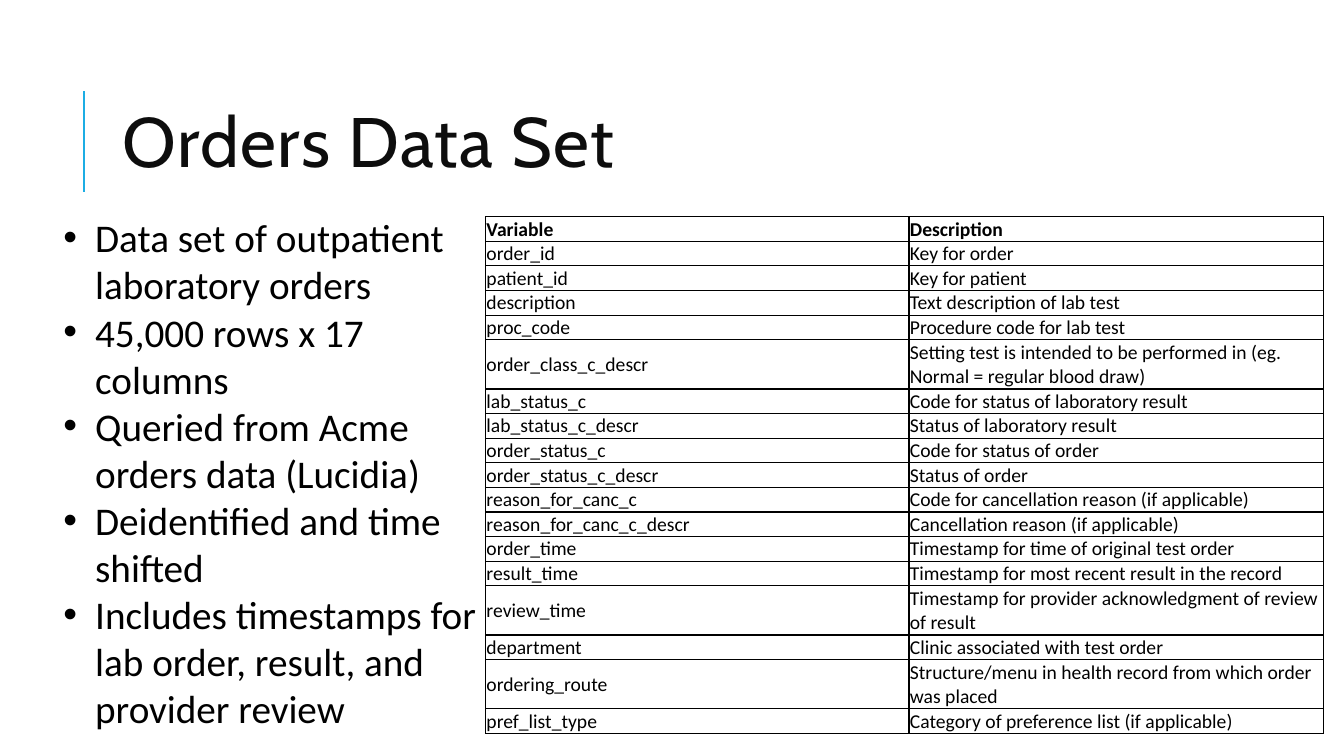
from lxml.etree import SubElement
from pptx import Presentation
from pptx.dml.color import RGBColor
from pptx.enum.shapes import MSO_CONNECTOR
from pptx.enum.text import MSO_ANCHOR, MSO_AUTO_SIZE
from pptx.oxml import parse_xml
from pptx.oxml.ns import nsdecls, qn
from pptx.util import Cm, Pt

BULLETS = [
    "Data set of outpatient laboratory orders",
    "45,000 rows x 17 columns",
    "Queried from Acme orders data (Lucidia)",
    "Deidentified and time shifted",
    "Includes timestamps for lab order, result, and provider review",
]

VARIABLES = [
    ("Variable", "Description"),
    ("order_id", "Key for order"),
    ("patient_id", "Key for patient"),
    ("description", "Text description of lab test"),
    ("proc_code", "Procedure code for lab test"),
    ("order_class_c_descr",
     "Setting test is intended to be performed in (eg. Normal = regular blood draw)"),
    ("lab_status_c", "Code for status of laboratory result"),
    ("lab_status_c_descr", "Status of laboratory result"),
    ("order_status_c", "Code for status of order"),
    ("order_status_c_descr", "Status of order"),
    ("reason_for_canc_c", "Code for cancellation reason (if applicable)"),
    ("reason_for_canc_c_descr", "Cancellation reason (if applicable)"),
    ("order_time", "Timestamp for time of original test order"),
    ("result_time", "Timestamp for most recent result in the record"),
    ("review_time", "Timestamp for provider acknowledgment of review of result"),
    ("department", "Clinic associated with test order"),
    ("ordering_route", "Structure/menu in health record from which order was placed"),
    ("pref_list_type", "Category of preference list (if applicable)"),
]
WRAP_LENGTH = 50  # longer descriptions take two lines


def color(hex_code):
    return RGBColor.from_string(hex_code)


def write(p, text, size=14, font="Calibri", fill="000000", bold=False, spacing=0):
    r = p.add_run()
    r.text = text
    r.font.size, r.font.name, r.font.bold = Pt(size), font, bold
    r.font.color.rgb = color(fill)
    if spacing:
        r.font._element.set("spc", str(spacing * 100))


class SlideBuilder:
    accent, ink, title_font = "1CADE4", "0D0D0D", "Cabin"

    def __init__(self, prs):
        self.s = prs.slides.add_slide(prs.slide_layouts[6])

    def rule(self, x, top, bottom):
        line = self.s.shapes.add_connector(
            MSO_CONNECTOR.STRAIGHT, Cm(x), Cm(bottom), Cm(x), Cm(top))
        line.line.color.rgb = color(self.accent)
        line.line.width = Pt(1.5)
        SubElement(line._element.spPr, qn("a:effectLst"))

    def text_box(self, *box):
        tf = self.s.shapes.add_textbox(*map(Cm, box)).text_frame
        tf.word_wrap = True
        return tf

    def title(self, text, *box):
        tf = self.text_box(*box)
        tf.vertical_anchor = MSO_ANCHOR.MIDDLE
        p = tf.paragraphs[0]
        p.line_spacing = 0.8
        write(p, text, size=50, font=self.title_font, fill=self.ink, spacing=1)

    def bullets(self, items, *box):
        tf = self.text_box(*box)
        tf.auto_size = MSO_AUTO_SIZE.SHAPE_TO_FIT_TEXT
        for i, item in enumerate(items):
            p = tf.add_paragraph() if i else tf.paragraphs[0]
            pPr = p._p.get_or_add_pPr()
            pPr.set("marL", str(Cm(0.8)))
            pPr.set("indent", str(-Cm(0.8)))
            SubElement(pPr, qn("a:buFont"), typeface="Arial")
            SubElement(pPr, qn("a:buChar"), char="•")
            write(p, item, size=28)

    def borders(self, cell):
        tcPr = cell._tc.get_or_add_tcPr()
        for i, side in enumerate("LRTB"):
            tcPr.insert(i, parse_xml(
                f'<a:ln{side} {nsdecls("a")} w="{Pt(1)}"><a:solidFill>'
                f'<a:srgbClr val="000000"/></a:solidFill></a:ln{side}>'))

    def table(self, rows, left, top, widths, row_height):
        heights = [row_height * (2 if len(row[1]) > WRAP_LENGTH else 1) for row in rows]
        table = self.s.shapes.add_table(
            len(rows), len(widths), Cm(left), Cm(top),
            Cm(sum(widths)), Cm(sum(heights))).table
        for col, width in zip(table.columns, widths):
            col.width = Cm(width)
        for i, row in enumerate(rows):
            table.rows[i].height = Cm(heights[i])
            for j, text in enumerate(row):
                cell = table.cell(i, j)
                cell.margin_left = cell.margin_right = cell.margin_top = Cm(0.02)
                cell.margin_bottom = 0
                cell.vertical_anchor = MSO_ANCHOR.MIDDLE
                cell.fill.background()
                self.borders(cell)
                write(cell.text_frame.paragraphs[0], text, bold=i == 0)


def main():
    prs = Presentation()
    prs.slide_width, prs.slide_height = Cm(33.87), Cm(19.05)
    slide = SlideBuilder(prs)

    # Heading
    slide.rule(2.12, 2.3, 4.83)
    slide.title("Orders Data Set", 2.84, 1.63, 27, 4.17)

    # Variable table
    slide.table(VARIABLES, 12.24, 5.46, (10.67, 10.44), 0.62)

    # Summary of the data set
    slide.bullets(BULLETS, 1.35, 5.26, 10.9, 13.41)

    prs.save("out.pptx")


if __name__ == "__main__":
    main()
